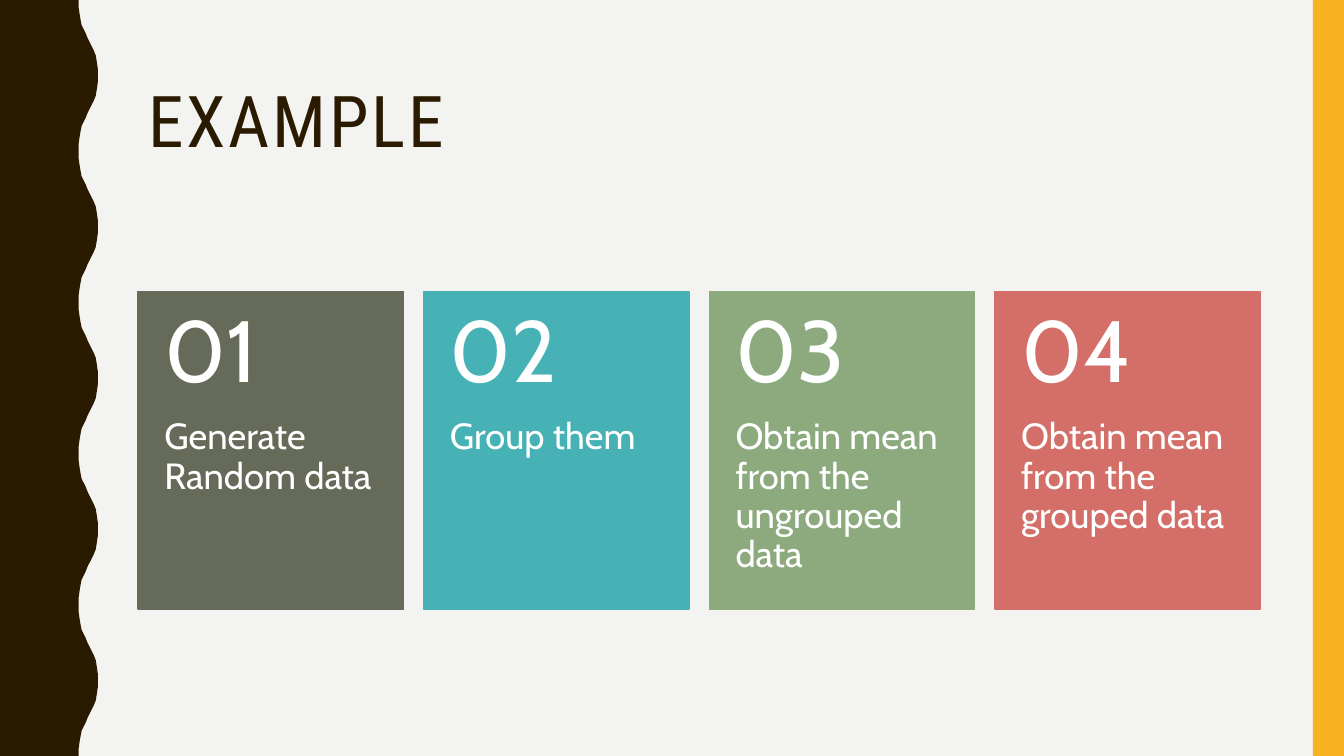
import pptx
import pptx.util
import pptx.dml.color
import pptx.enum.shapes
import pptx.enum.text

Inches = pptx.util.Inches
Pt = pptx.util.Pt
ANCHOR = pptx.enum.text.MSO_ANCHOR
RECT = pptx.enum.shapes.MSO_SHAPE.RECTANGLE

TITLE = "EXAMPLE"
STEPS = [
    ("01", "Generate Random data", "656A59"),
    ("02", "Group them", "46B2B5"),
    ("03", "Obtain mean from the ungrouped data", "8CAA7E"),
    ("04", "Obtain mean from the grouped data", "D36F68"),
]
DARK, GOLD, PAPER, WHITE = "2A1A00", "F8B323", "F3F3F2", "FFFFFF"
WIDTH, HEIGHT = 13.33, 7.5
LEFT, SPAN, GAP = 1.37, 11.13, 0.2
CARD_TOP, CARD_H, NUMBER_H = 2.89, 3.15, 1.26
WAVE_PERIOD, WAVE_COUNT = 1.5, 5
HALF_WAVE = [
    (0.78, 0), (0.78, 0.07), (0.79, 0.14), (0.8, 0.2), (0.81, 0.25),
    (0.83, 0.29), (0.85, 0.33), (0.87, 0.38), (0.89, 0.42), (0.91, 0.46),
    (0.93, 0.5), (0.95, 0.55), (0.96, 0.61), (0.97, 0.68), (0.97, 0.75),
]
NUMBER_FRAME = {"vertical_anchor": ANCHOR.MIDDLE, "margin_top": Inches(0.18),
                "margin_bottom": Inches(0.18)}
LABEL_FRAME = {"vertical_anchor": ANCHOR.TOP, "margin_top": 0,
               "margin_bottom": Inches(0.36)}
CARD_FRAME = {"margin_left": Inches(0.26), "margin_right": Inches(0.26)}


def rgb(color):
    return pptx.dml.color.RGBColor.from_string(color)


def set_all(obj, values):
    for name, value in values.items():
        setattr(obj, name, value)


def paint(sp, color, outlined=False):
    sp.shadow.inherit = False
    sp.fill.solid()
    sp.fill.fore_color.rgb = rgb(color)
    if outlined:
        sp.line.color.rgb = rgb(color)
        sp.line.width = Pt(1)
    else:
        sp.line.fill.background()


def add_rect(s, box, color, outlined=False):
    sp = s.shapes.add_shape(RECT, *map(Inches, box))
    paint(sp, color, outlined)


def write(sp, text, size, font, color, frame):
    tf = sp.text_frame
    set_all(tf, {"word_wrap": True,
                 "auto_size": pptx.enum.text.MSO_AUTO_SIZE.NONE, **frame})
    p = tf.paragraphs[0]
    set_all(p, {"alignment": pptx.enum.text.PP_ALIGN.LEFT, "line_spacing": 0.9})
    r = p.add_run()
    r.text = text
    set_all(r.font, {"size": Pt(size), "name": font})
    r.font.color.rgb = rgb(color)
    return r


def add_wave(s):
    wave = HALF_WAVE + [(x, WAVE_PERIOD - y) for x, y in HALF_WAVE[-2::-1]]
    points = [(x, y + n * WAVE_PERIOD) for n in range(WAVE_COUNT) for x, y in wave]
    points.append((0, HEIGHT))
    builder = s.shapes.build_freeform(0, 0)
    builder.add_line_segments([(Inches(x), Inches(y)) for x, y in points])
    paint(builder.convert_to_shape(), DARK)


def add_title(s):
    sp = s.shapes.title
    set_all(sp, {"left": Inches(LEFT), "top": Inches(0.42),
                 "width": Inches(SPAN), "height": Inches(1.63)})
    r = write(sp, TITLE, 51, "Roboto Condensed", DARK,
              {"vertical_anchor": ANCHOR.MIDDLE})
    r.font._element.set("spc", "200")


def add_cards(s):
    card_w = (SPAN - GAP * (len(STEPS) - 1)) / len(STEPS)
    for i, (number, label, color) in enumerate(STEPS):
        x = LEFT + i * (card_w + GAP)
        add_rect(s, (x, CARD_TOP, card_w, CARD_H), color, True)
        for text, size, top, height, frame in (
            (label, 26, CARD_TOP + NUMBER_H, CARD_H - NUMBER_H, LABEL_FRAME),
            (number, 62, CARD_TOP, NUMBER_H, NUMBER_FRAME),
        ):
            sp = s.shapes.add_textbox(*map(Inches, (x, top, card_w, height)))
            write(sp, text, size, "Cabin", WHITE, {**CARD_FRAME, **frame})


def main():
    prs = pptx.Presentation()
    set_all(prs, {"slide_width": Inches(WIDTH), "slide_height": Inches(HEIGHT)})
    s = prs.slides.add_slide(prs.slide_layouts[5])
    s.background.fill.solid()
    s.background.fill.fore_color.rgb = rgb(PAPER)
    add_wave(s)
    add_rect(s, (13.02, 0, WIDTH - 13.02, HEIGHT), GOLD)
    add_title(s)
    add_cards(s)
    prs.save("out.pptx")


if __name__ == "__main__":
    main()
